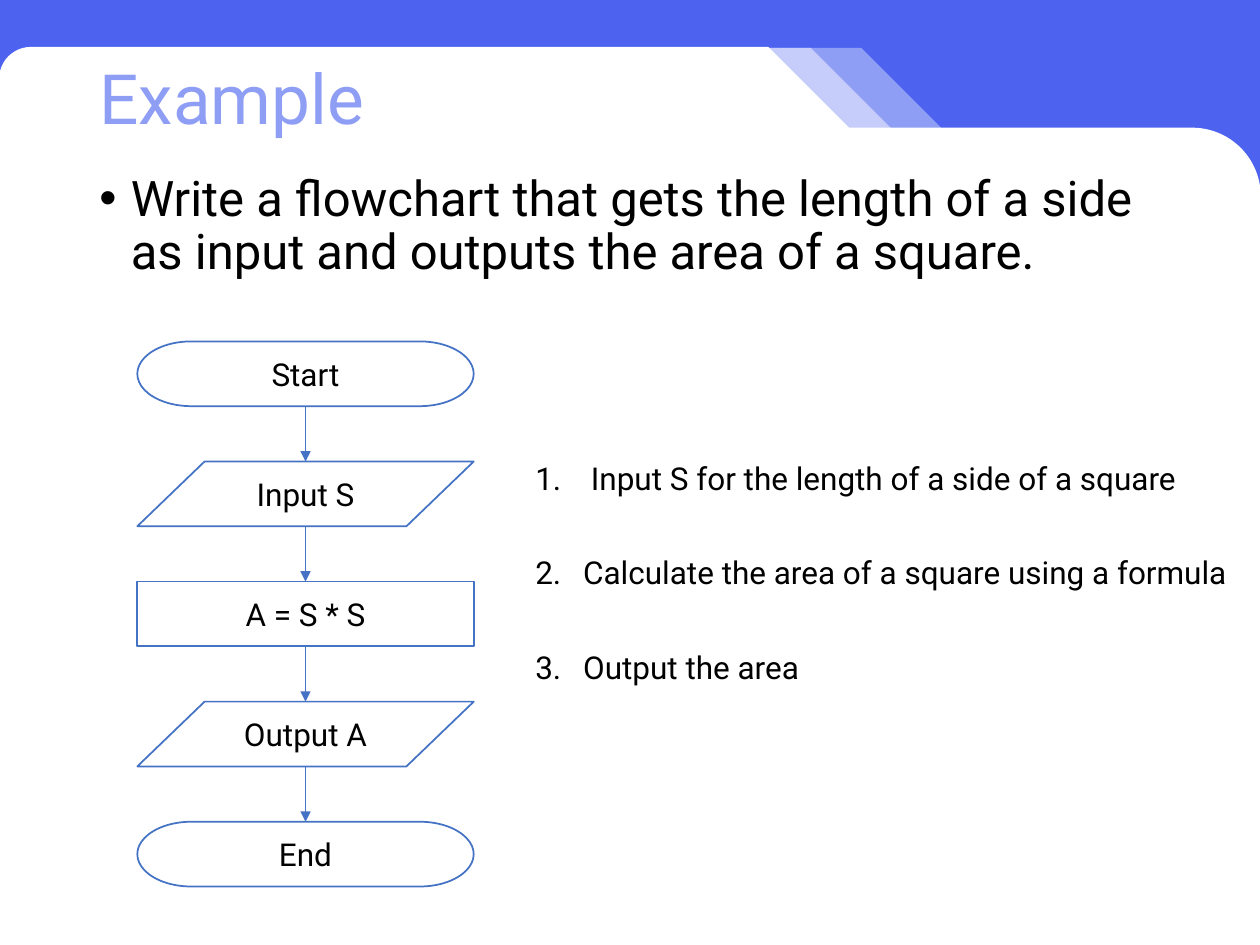
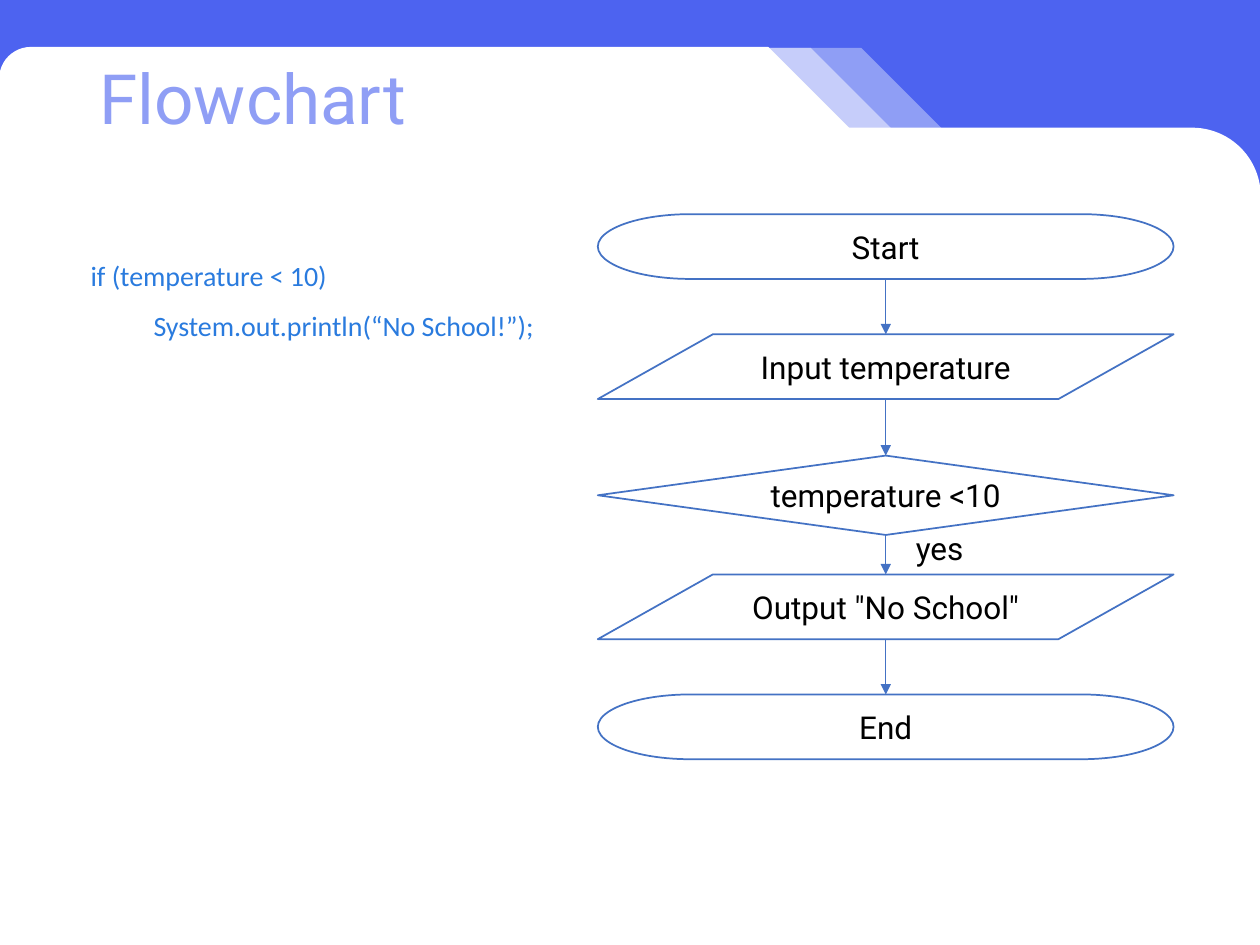
"""Build two flowchart slides that share a banded header and title style."""
from dataclasses import dataclass
from typing import Any, Optional

from lxml import etree
from pptx import Presentation
from pptx.dml.color import RGBColor
from pptx.enum.shapes import MSO_CONNECTOR, MSO_SHAPE
from pptx.enum.text import MSO_ANCHOR, MSO_AUTO_SIZE, PP_ALIGN
from pptx.oxml.ns import qn
from pptx.util import Inches, Pt

TERMINATOR = MSO_SHAPE.FLOWCHART_TERMINATOR
DATA = MSO_SHAPE.FLOWCHART_DATA
DECISION = MSO_SHAPE.FLOWCHART_DECISION
PROCESS = MSO_SHAPE.RECTANGLE
SNIP_ROUND = MSO_SHAPE.SNIP_ROUND_RECTANGLE
ROUND_TOP = MSO_SHAPE.ROUND_2_SAME_RECTANGLE
STRAIGHT = MSO_CONNECTOR.STRAIGHT
CENTER = PP_ALIGN.CENTER
MIDDLE = MSO_ANCHOR.MIDDLE
GROW = MSO_AUTO_SIZE.SHAPE_TO_FIT_TEXT

COLS, ROWS = 100, 75
CELL = Inches(0.1)
STEP_ROWS, STEP_PITCH = 5.14, 9.53
TOP, BOTTOM = 0, 2

BLUE, MID_BLUE, PALE_BLUE = "4D63F0", "8F9EF5", "C6CDFA"
WHITE, BLACK, OUTLINE, CODE_BLUE = "FFFFFF", "000000", "4472C4", "2A7BDE"


@dataclass(frozen=True)
class Box:
    """A rectangle in grid columns and rows."""
    col: float
    row: float
    cols: float
    rows: float

    def emu(self) -> tuple[int, ...]:
        """Return left, top, width and height as slide lengths."""
        return tuple(cell(n) for n in (self.col, self.row, self.cols, self.rows))


@dataclass(frozen=True)
class Band:
    """A white or tinted header panel."""
    box: Box
    kind: Any
    adjustments: tuple[float, float]
    fill: str
    line: Optional[str] = None


@dataclass(frozen=True)
class Style:
    """The look of the text in a box or shape."""
    size: float = 18
    font: str = "Roboto"
    color: str = BLACK
    spacing: float = 1.0


@dataclass(frozen=True)
class Line:
    """A paragraph with its indents in inches and its bullet."""
    text: str
    margin: float = 0
    indent: float = 0
    bullet: str = ""
    before: float = 0


@dataclass(frozen=True)
class Step:
    """A flowchart step; drop shifts it below its regular row."""
    kind: Any
    text: str
    rows: float = STEP_ROWS
    drop: float = 0


TITLE_STYLE = Style(39.6, color=MID_BLUE, spacing=0.9)
BODY_STYLE = Style(28, spacing=0.9)
LIST_STYLE = Style(spacing=2.5)
CODE_STYLE = Style(16, "Calibri", CODE_BLUE, 1.5)
STEP_STYLE = Style()

SNIP = (0.167, 0.5)
BANDS = [
    *(Band(Box(col, 3.8, 68.3, 14.7), SNIP_ROUND, SNIP, fill, line)
      for col, fill, line in ((7.4, MID_BLUE, None), (3.4, PALE_BLUE, None),
                              (0, WHITE, WHITE))),
    Band(Box(0, 10.2, COLS, ROWS - 10.2), ROUND_TOP, (0.083, 0), WHITE, WHITE),
]

AREA_STEPS = [
    Step(TERMINATOR, "Start"),
    Step(DATA, "Input S"),
    Step(PROCESS, "A = S * S"),
    Step(DATA, "Output A"),
    Step(TERMINATOR, "End"),
]
SCHOOL_STEPS = [
    Step(TERMINATOR, "Start"),
    Step(DATA, "Input temperature"),
    Step(DECISION, "temperature <10", 6.3, 0.1),
    Step(DATA, 'Output "No School"'),
    Step(TERMINATOR, "End"),
]
AREA_TASK = [Line("Write a flowchart that gets the length of a side as input "
                  "and outputs the area of a square.", 0.25, -0.25, "•", 10)]
AREA_NOTES = [Line(text, 0.38, -0.38, "1.") for text in (
    " Input S for the length of a side of a square",
    "Calculate the area of a square using a formula",
    "Output the area")]
SCHOOL_CODE = [Line("if (temperature < 10)", 0.5),
               Line("System.out.println(“No School!”);", 1)]


def cell(n: float) -> int:
    """Convert a number of grid cells to a slide length."""
    return round(n * CELL)


def rgb(color: str) -> RGBColor:
    """Convert a hex string to a colour."""
    return RGBColor.from_string(color)


def apply(obj: Any, formats: dict[str, Any]) -> None:
    """Set each named attribute of an object."""
    for name, value in formats.items():
        setattr(obj, name, value)


def paint(sp: Any, fill: str, line: Optional[str]) -> None:
    """Give a shape a flat fill and a thin outline or none."""
    sp.shadow.inherit = False
    sp.fill.solid()
    sp.fill.fore_color.rgb = rgb(fill)
    if line:
        sp.line.color.rgb = rgb(line)
        sp.line.width = Pt(1)
    else:
        sp.line.fill.background()


def set_indent(p: Any, line: Line) -> None:
    """Set the margin, first-line indent and bullet of a paragraph."""
    ppr = p._p.get_or_add_pPr()
    ppr.set("marL", str(Inches(line.margin)))
    ppr.set("indent", str(Inches(line.indent)))
    if line.bullet == "1.":
        etree.SubElement(ppr, qn("a:buAutoNum"), type="arabicPeriod")
    elif line.bullet:
        etree.SubElement(ppr, qn("a:buFont"), typeface="Arial")
        etree.SubElement(ppr, qn("a:buChar"), char=line.bullet)


def write(tf: Any, lines: list[Line], style: Style, align: Any = None) -> None:
    """Fill a text frame with styled paragraphs."""
    for i, line in enumerate(lines):
        p = tf.add_paragraph() if i else tf.paragraphs[0]
        apply(p, {"alignment": align, "line_spacing": style.spacing,
                  "space_before": Pt(line.before)})
        set_indent(p, line)
        r = p.add_run()
        r.text = line.text
        apply(r.font, {"size": Pt(style.size), "name": style.font})
        r.font.color.rgb = rgb(style.color)


def add_text(slide: Any, box: Box, lines: list[Line], style: Style,
             **frame: Any) -> None:
    """Add a text box with the given frame settings."""
    tf = slide.shapes.add_textbox(*box.emu()).text_frame
    apply(tf, {"word_wrap": True, **frame})
    write(tf, lines, style)


def add_arrow(slide: Any, start: Any, end: Any) -> None:
    """Draw an arrow from one step down to the next."""
    x = start.left + start.width // 2
    cxn = slide.shapes.add_connector(
        STRAIGHT, x, start.top + start.height, x, end.top)
    if start.auto_shape_type != DATA:
        cxn.begin_connect(start, BOTTOM)
    if end.auto_shape_type != DATA:
        cxn.end_connect(end, TOP)
    cxn.line.color.rgb = rgb(OUTLINE)
    cxn.line.width = Pt(0.5)
    etree.SubElement(cxn.line._get_or_add_ln(), qn("a:tailEnd"), type="triangle")
    etree.SubElement(cxn._element.spPr, qn("a:effectLst"))


def add_flowchart(slide: Any, col: float, row: float, cols: float,
                  steps: list[Step]) -> None:
    """Stack steps at an equal pitch and link them with arrows."""
    shapes = []
    for i, step in enumerate(steps):
        box = Box(col, row + i * STEP_PITCH + step.drop, cols, step.rows)
        sp = slide.shapes.add_shape(step.kind, *box.emu())
        paint(sp, WHITE, OUTLINE)
        apply(sp.text_frame, {"word_wrap": True, "vertical_anchor": MIDDLE})
        write(sp.text_frame, [Line(step.text)], STEP_STYLE, CENTER)
        shapes.append(sp)
    for start, end in zip(shapes, shapes[1:]):
        add_arrow(slide, start, end)


def add_slide(prs: Any, title: str) -> Any:
    """Add a slide with the shared background, bands and title."""
    slide = prs.slides.add_slide(prs.slide_layouts[6])
    fill = slide.background.fill
    fill.solid()
    fill.fore_color.rgb = rgb(BLUE)
    for band in BANDS:
        sp = slide.shapes.add_shape(band.kind, *band.box.emu())
        for i, value in enumerate(band.adjustments):
            sp.adjustments[i] = value
        paint(sp, band.fill, band.line)
    add_text(slide, Box(6.9, 5.1, 55.2, 6), [Line(title)], TITLE_STYLE,
             vertical_anchor=MIDDLE)
    return slide


def main() -> None:
    """Build both slides and save the presentation."""
    prs = Presentation()
    apply(prs, {"slide_width": cell(COLS), "slide_height": cell(ROWS)})

    slide = add_slide(prs, "Example")
    add_text(slide, Box(6.9, 13.3, 86.2, 54.2), AREA_TASK, BODY_STYLE)
    add_text(slide, Box(41.5, 31.4, 57.6, 22.6), AREA_NOTES, LIST_STYLE,
             word_wrap=False, auto_size=GROW)
    add_flowchart(slide, 10.9, 27.1, 26.7, AREA_STEPS)

    slide = add_slide(prs, "Flowchart")
    add_text(slide, Box(1.2, 18.7, 50.1, 8.8), SCHOOL_CODE, CODE_STYLE,
             auto_size=GROW)
    add_flowchart(slide, 47.45, 17, 45.7, SCHOOL_STEPS)
    add_text(slide, Box(71.7, 41.5, 10, 4), [Line("yes")], STEP_STYLE,
             auto_size=GROW)

    prs.save("out.pptx")


if __name__ == "__main__":
    main()
